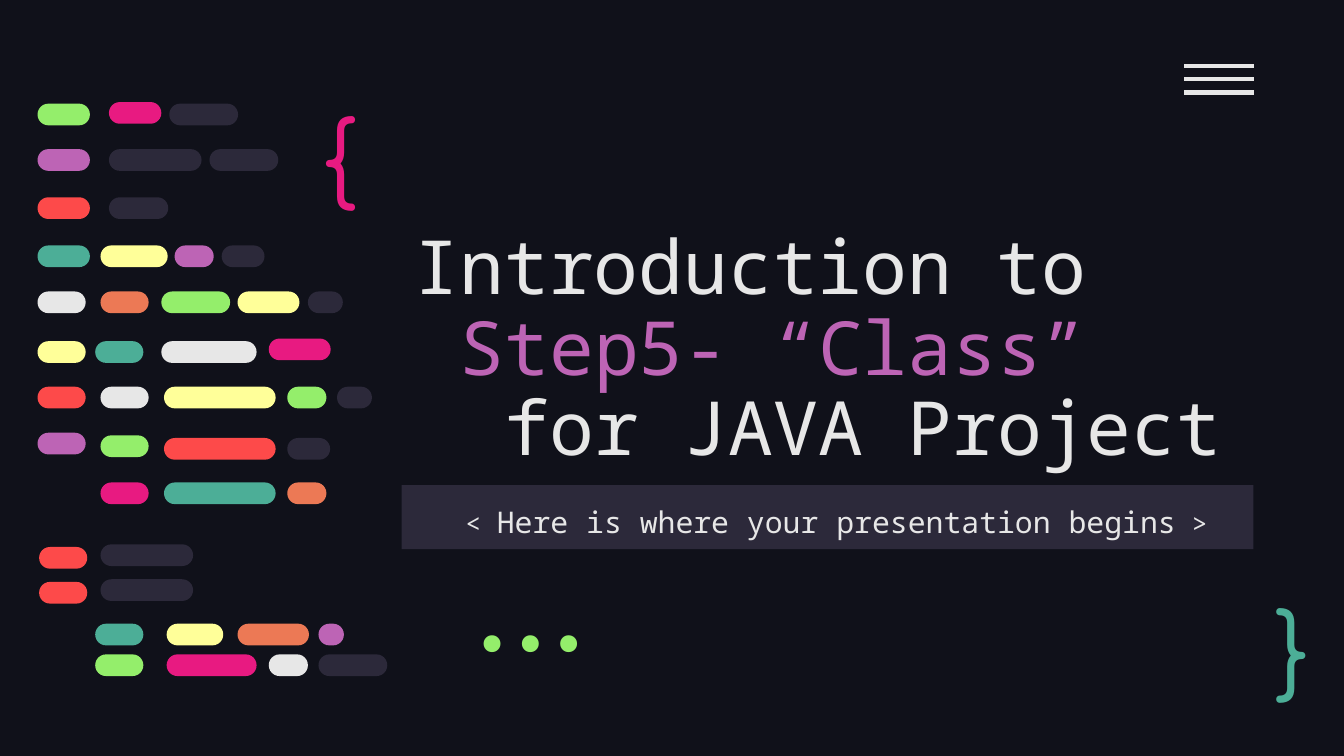
from pptx import Presentation, util as u
from pptx.dml.color import RGBColor
from pptx.enum import shapes as es, text as et
from pptx.oxml import ns, xmlchemy as xc

NIGHT = RGBColor(0x10, 0x11, 0x1A)
SLATE = RGBColor(0x2C, 0x29, 0x3A)
WHITE = RGBColor(0xE7, 0xE7, 0xE7)
PINK = RGBColor(0xE8, 0x1A, 0x81)
PLUM = RGBColor(0xBD, 0x64, 0xB5)
RED = RGBColor(0xFD, 0x4A, 0x4A)
TEAL = RGBColor(0x4C, 0xAE, 0x97)
LIME = RGBColor(0x94, 0xEE, 0x6B)
CREAM = RGBColor(0xFF, 0xFF, 0x99)
RUST = RGBColor(0xEC, 0x79, 0x55)

MONO = "Noto Sans Mono"
ROUND = "Comfortaa"
CODE = "Fira Code"
INSET = u.Cm(0.25)
THICK = 0.41
STEP = 0.85
FRAME = {"word_wrap": True, "auto_size": et.MSO_AUTO_SIZE.NONE,
         "margin_left": INSET, "margin_right": INSET,
         "margin_top": INSET, "margin_bottom": INSET}
ROWS = [
    (0, [(1.35, 0.99, PINK)]),
    (0.03, [(0, 0.99, LIME), (2.49, 1.3, SLATE)]),
    (0.89, [(0, 0.99, PLUM), (1.35, 1.75, SLATE), (3.25, 1.3, SLATE)]),
    (1.8, [(0, 0.99, RED), (1.35, 1.12, SLATE)]),
    (2.71, [(0, 0.99, TEAL), (1.19, 1.27, CREAM), (2.59, 0.74, PLUM),
            (3.48, 0.81, SLATE)]),
    (3.58, [(0, 0.91, WHITE), (1.19, 0.91, RUST), (2.34, 1.3, LIME),
            (3.78, 1.17, CREAM), (5.11, 0.66, SLATE)]),
    (4.47, [(4.37, 1.17, PINK)]),
    (4.52, [(0, 0.91, CREAM), (1.09, 0.91, TEAL), (2.34, 1.8, WHITE)]),
    (5.38, [(0, 0.91, RED), (1.19, 0.91, WHITE), (2.39, 2.11, CREAM),
            (4.72, 0.74, LIME), (5.66, 0.66, SLATE)]),
    (6.25, [(0, 0.91, PLUM)]),
    (6.3, [(1.19, 0.91, LIME)]),
    (6.35, [(2.39, 2.11, RED), (4.72, 0.81, SLATE)]),
    (7.19, [(1.19, 0.91, PINK), (2.39, 2.11, TEAL), (4.72, 0.74, RUST)]),
    (8.36, [(1.19, 1.75, SLATE)]),
    (8.41, [(0.03, 0.91, RED)]),
    (9.02, [(1.19, 1.75, SLATE)]),
    (9.07, [(0.03, 0.91, RED)]),
    (9.86, [(1.09, 0.91, TEAL), (2.44, 1.07, CREAM), (3.78, 1.35, RUST),
            (5.31, 0.48, PLUM)]),
    (10.44, [(1.09, 0.91, LIME), (2.44, 1.7, PINK), (4.37, 0.74, WHITE),
             (5.31, 1.3, SLATE)]),
]


def style(item, **values):
    """Set each named attribute of an object."""
    for name, value in values.items():
        setattr(item, name, value)


def scale(box):
    """Turn a box in centimetres into lengths."""
    return [u.Cm(side) for side in box]


def write(para, words, size, face, tint):
    """Add one formatted run to a paragraph."""
    run = para.add_run()
    run.text = words
    style(run.font, size=u.Pt(size), name=face)
    run.font.color.rgb = tint


def block(parent, kind, box, tint):
    """Add a plain filled shape."""
    shape = parent.add_shape(kind, *scale(box))
    shape.shadow.inherit = False
    shape.fill.solid()
    shape.fill.fore_color.rgb = tint
    shape.line.fill.background()
    return shape


def headline(slide, box):
    """Place the three stepped title lines."""
    title = slide.shapes.title
    left, top, width, height = scale(box)
    style(title, left=left, top=top, width=width, height=height)
    frame = title.text_frame
    style(frame, **FRAME, vertical_anchor=et.MSO_ANCHOR.BOTTOM)
    lines = [("Introduction to", WHITE), ("Step5- “Class”", PLUM),
             ("for JAVA Project", WHITE)]
    for level, (words, tint) in enumerate(lines):
        para = frame.add_paragraph() if level else frame.paragraphs[0]
        style(para, alignment=et.PP_ALIGN.LEFT, line_spacing=0.9)
        para._p.get_or_add_pPr().set("marL", str(u.Cm(level * STEP)))
        write(para, words, 40, MONO, tint)


def banner(slide, box):
    """Place the subtitle on its bar."""
    bar = block(slide.shapes, es.MSO_SHAPE.RECTANGLE, box, SLATE)
    frame = bar.text_frame
    style(frame, **FRAME, vertical_anchor=et.MSO_ANCHOR.TOP)
    frame.margin_left = u.Cm(0.59)
    para = frame.paragraphs[0]
    style(para, alignment=et.PP_ALIGN.CENTER, line_spacing=1.15)
    for words, size in [("< ", 14), ("Here is where your presentation begins", 16),
                        (" >", 14)]:
        write(para, words, size, MONO, WHITE)


def glyph(slide, box, words, face, tint, anchor, align=et.PP_ALIGN.LEFT):
    """Place a large code symbol."""
    frame = slide.shapes.add_textbox(*scale(box)).text_frame
    style(frame, **FRAME, vertical_anchor=anchor)
    para = frame.paragraphs[0]
    para.alignment = align
    write(para, words, 50, face, tint)


def menu(slide, box):
    """Draw three evenly spaced menu lines."""
    left, top, width, height = box
    group = slide.shapes.add_group_shape()
    for row in range(3):
        y = top + row * height / 2
        line = group.shapes.add_connector(
            es.MSO_CONNECTOR.STRAIGHT, *scale((left, y, left + width, y)))
        line.line.color.rgb = WHITE
        line.line.width = u.Pt(2.25)
        line._element.spPr.append(xc.OxmlElement("a:effectLst"))


def pills(slide, box):
    """Draw the rows of coloured code pills."""
    left, top = box[:2]
    group = slide.shapes.add_group_shape()
    for y, row in ROWS:
        for x, width, tint in row:
            pill = block(group.shapes, es.MSO_SHAPE.ROUNDED_RECTANGLE,
                         (left + x, top + y, width, THICK), tint)
            pill.adjustments[0] = 0.5


def main():
    """Build and save the cover slide."""
    deck = Presentation()
    style(deck, slide_width=u.Cm(25.4), slide_height=u.Cm(14.29))
    slide = deck.slides.add_slide(deck.slide_layouts[5])
    slide.background.fill.solid()
    slide.background.fill.fore_color.rgb = NIGHT
    headline(slide, (7.59, 3.51, 16.1, 5.66))
    banner(slide, (7.59, 9.17, 16.1, 1.21))
    glyph(slide, (5.82, 1.57, 1.96, 2.41), "{", ROUND, PINK, et.MSO_ANCHOR.TOP)
    glyph(slide, (23.85, 11.13, 1.45, 2.11), "}", ROUND, TEAL, et.MSO_ANCHOR.MIDDLE)
    glyph(slide, (7.9, 11.4, 4.01, 1.52), "...", CODE, LIME,
          et.MSO_ANCHOR.BOTTOM, et.PP_ALIGN.RIGHT)
    menu(slide, (22.38, 1.24, 1.32, 0.51))
    pills(slide, (0.71, 1.93, 6.61, 10.85))
    deck.save("out.pptx")


if __name__ == "__main__":
    main()
